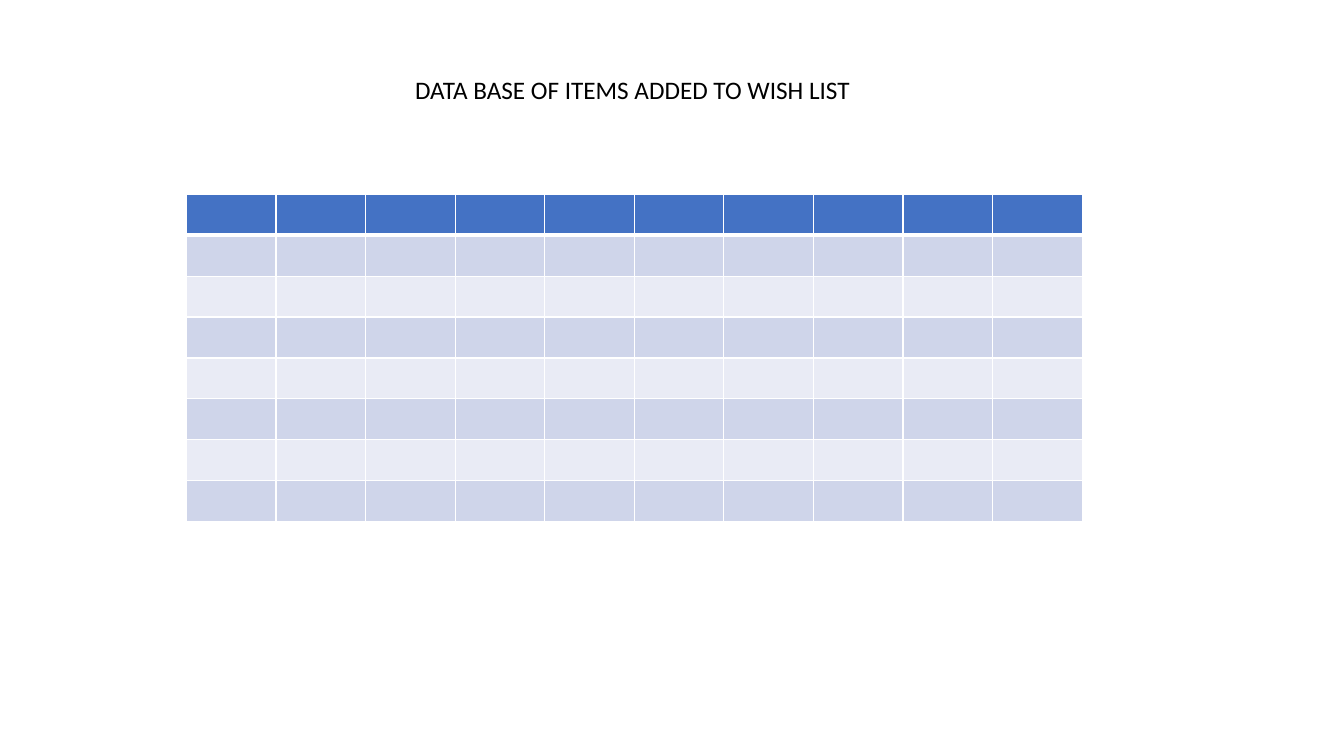
from lxml.etree import SubElement
from pptx import Presentation
from pptx.dml.color import RGBColor
from pptx.enum.text import MSO_AUTO_SIZE
from pptx.oxml.ns import qn
from pptx.util import Cm, Pt


def color(code):
    """Turn a hex string into a colour."""
    return RGBColor.from_string(code)


class WishListSlide:
    """Hold the style and the slide, and add each kind of element."""

    font = "Calibri"
    ink = "000000"
    header = "4472C4"
    bands = ("CFD5EA", "E9EBF5")
    rule = "FFFFFF"

    def __init__(self, slide):
        """Keep the slide to draw on."""
        self.slide = slide

    def heading(self, text, left, top, width, height):
        """Add a single-line heading."""
        box = self.slide.shapes.add_textbox(Cm(left), Cm(top), Cm(width), Cm(height))
        frame = box.text_frame
        frame.word_wrap = False
        frame.auto_size = MSO_AUTO_SIZE.SHAPE_TO_FIT_TEXT
        frame.text = text
        font = frame.paragraphs[0].font
        font.name, font.size = self.font, Pt(18)
        font.color.rgb = color(self.ink)

    def borders(self, cell, bottom):
        """Draw the four borders of a cell, the bottom one with its own width."""
        properties = cell._tc.get_or_add_tcPr()
        for side, width in (("L", 1), ("R", 1), ("T", 1), ("B", bottom)):
            line = SubElement(properties, qn(f"a:ln{side}"), w=str(Pt(width)))
            fill = SubElement(line, qn("a:solidFill"))
            SubElement(fill, qn("a:srgbClr"), val=self.rule)

    def grid(self, rows, columns, left, top, width, height):
        """Add an empty banded table with a header row."""
        items = self.slide.shapes.add_table(
            rows, columns, Cm(left), Cm(top), Cm(width), Cm(height)
        ).table
        for index, row in enumerate(items.rows):
            is_header = index == 0
            shade = self.header if is_header else self.bands[(index - 1) % 2]
            for cell in row.cells:
                self.borders(cell, bottom=3 if is_header else 1)
                cell.fill.solid()
                cell.fill.fore_color.rgb = color(shade)


def main():
    """Build and save the presentation."""
    deck = Presentation()
    deck.slide_width, deck.slide_height = Cm(33.87), Cm(19.05)
    wish_list = WishListSlide(deck.slides.add_slide(deck.slide_layouts[6]))
    wish_list.heading("DATA BASE OF ITEMS ADDED TO WISH LIST", 10.21, 1.75, 11.58, 1.02)
    wish_list.grid(8, 10, 4.7, 4.9, 22.58, 8.24)
    deck.save("out.pptx")


if __name__ == "__main__":
    main()
